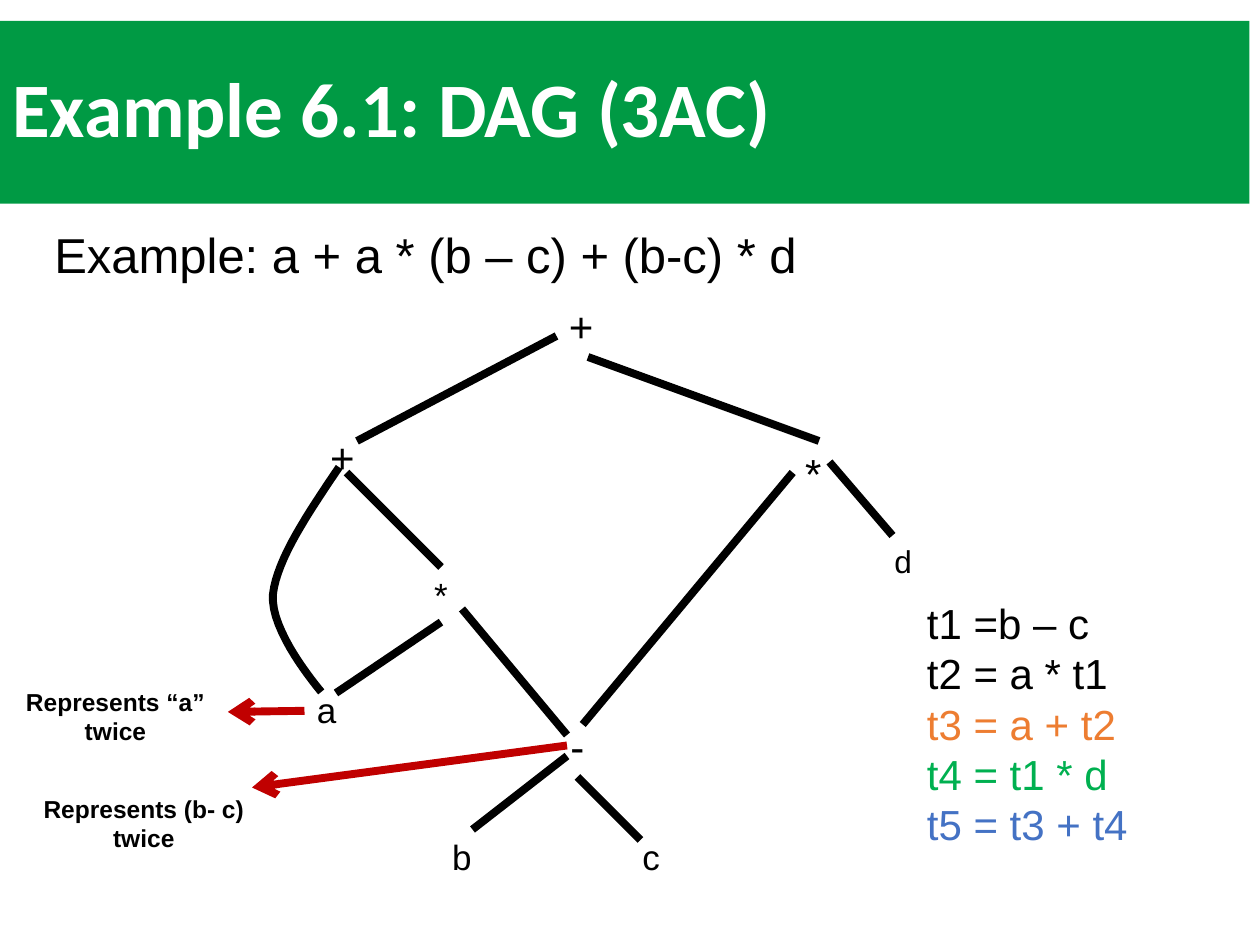
"""Build a slide showing the DAG and three-address code of an expression."""
from dataclasses import dataclass

from lxml import etree
from pptx import Presentation
from pptx import util as u
from pptx.dml.color import RGBColor
from pptx.enum import shapes, text
from pptx.oxml.ns import qn


@dataclass(frozen=True)
class Theme:
    """Colours, fonts, type sizes and the line weight."""
    ink: str = "000000"
    paper: str = "FFFFFF"
    banner: str = "009A44"
    pointer: str = "C00000"
    orange: str = "ED7D31"
    green: str = "00B050"
    blue: str = "4472C4"
    heading_font: str = "Calibri"
    body_font: str = "Arial"
    title: int = 44
    lead: int = 28
    large: int = 24
    medium: int = 20
    small: int = 18
    note: int = 14
    stroke: float = 4.5


@dataclass(frozen=True)
class Label:
    """A text box placed by column, row, columns wide and rows high."""
    words: str
    col: float
    row: float
    cols: float
    rows: float
    size: int
    centred: bool = False
    bold: bool = False


@dataclass(frozen=True)
class Edge:
    """A straight line between two grid points."""
    start: tuple[float, float]
    end: tuple[float, float]


T = Theme()
COLUMNS, ROWS = 120, 90
WIDTH, HEIGHT = u.Inches(10), u.Inches(7.5)

LABELS = [
    Label("Example: a + a * (b – c) + (b-c) * d", 4, 20.8, 78, 6.8, T.lead),
    Label("+", 53, 28, 6, 6, T.large),
    Label("+", 30.25, 40.5, 5.75, 6, T.large),
    Label("*", 75.5, 42, 6, 6, T.large),
    Label("*", 39, 54, 6, 5.25, T.medium, True),
    Label("-", 52, 68, 6, 6, T.large, True),
    Label("a", 29, 65, 5, 5.25, T.medium),
    Label("b", 41, 79, 6, 5.25, T.medium, True),
    Label("c", 60, 79, 6, 5.25, T.medium),
    Label("d", 84, 51, 4, 4.8, T.small),
    Label("Represents “a” twice", -1, 64.8, 24, 6.8, T.note, True, True),
    Label("Represents (b- c) twice", 1.2, 75, 25, 6.8, T.note, True, True),
]
EDGES = [
    Edge((53, 32), (34, 42)),
    Edge((56, 34), (78, 42)),
    Edge((33, 45), (42, 54)),
    Edge((42, 59.25), (32, 66)),
    Edge((44, 58), (54, 70)),
    Edge((75.5, 45), (55.5, 69)),
    Edge((79, 44), (85, 51)),
    Edge((54, 72), (45, 79)),
    Edge((55, 74), (61, 80)),
]
POINTERS = [Edge((29, 67.7), (21.7, 67.8)), Edge((54, 71), (24, 75))]
CURVE = [
    ((32.3, 44.5), (29.4, 48.8), (26.4, 53.2), (26, 56.6)),
    ((26, 56.6), (25.7, 60.1), (30.2, 65.4), (30.6, 65.9)),
]
CODE = [
    ("t1 =b – c", T.ink),
    ("t2 = a * t1", T.ink),
    ("t3 = a + t2", T.orange),
    ("t4 = t1 * d", T.green),
    ("t5 = t3 + t4", T.blue),
]


def x(col: float) -> int:
    """Turn columns into a length."""
    return round(col * WIDTH / COLUMNS)


def y(row: float) -> int:
    """Turn rows into a length."""
    return round(row * HEIGHT / ROWS)


def style(p, size: int, color: str = T.ink, font: str = T.body_font,
          bold: bool = False, align=text.PP_ALIGN.LEFT) -> None:
    """Set the font and alignment of a paragraph."""
    p.alignment = align
    p.font.name, p.font.size, p.font.bold = font, u.Pt(size), bold
    p.font.color.rgb = RGBColor.from_string(color)


def add_label(s, label: Label) -> None:
    """Draw a text box."""
    sp = s.shapes.add_textbox(x(label.col), y(label.row), x(label.cols), y(label.rows))
    tf = sp.text_frame
    tf.word_wrap = True
    tf.text = label.words
    align = text.PP_ALIGN.CENTER if label.centred else text.PP_ALIGN.LEFT
    style(tf.paragraphs[0], label.size, bold=label.bold, align=align)


def add_panel(s, col: float, row: float, cols: float, rows: float, fill: str):
    """Draw a filled rectangle and return its text frame."""
    sp = s.shapes.add_shape(shapes.MSO_SHAPE.RECTANGLE, x(col), y(row), x(cols), y(rows))
    sp.shadow.inherit = False
    sp.fill.solid()
    sp.fill.fore_color.rgb = RGBColor.from_string(fill)
    sp.line.fill.background()
    sp.text_frame.word_wrap = True
    return sp.text_frame


def set_stroke(sp, color: str) -> None:
    """Set the colour and weight of a line."""
    sp.line.color.rgb = RGBColor.from_string(color)
    sp.line.width = u.Pt(T.stroke)


def add_edge(s, edge: Edge, color: str = T.ink, arrow: bool = False) -> None:
    """Draw a straight connector, with an arrowhead at its end if asked."""
    sp = s.shapes.add_connector(shapes.MSO_CONNECTOR.STRAIGHT,
                                x(edge.start[0]), y(edge.start[1]),
                                x(edge.end[0]), y(edge.end[1]))
    set_stroke(sp, color)
    if arrow:
        etree.SubElement(sp.line._get_or_add_ln(), qn("a:tailEnd"), type="arrow")
    etree.SubElement(sp._element.spPr, qn("a:effectLst"))


def bezier(points: tuple, t: float) -> tuple[int, int]:
    """Return the point at share t of a cubic curve."""
    weights = ((1 - t) ** 3, 3 * t * (1 - t) ** 2, 3 * t ** 2 * (1 - t), t ** 3)
    col, row = (sum(w * p[i] for w, p in zip(weights, points)) for i in (0, 1))
    return x(col), y(row)


def add_curve(s, segments: list, steps: int = 16) -> None:
    """Draw an open curve through cubic segments."""
    start = bezier(segments[0], 0)
    builder = s.shapes.build_freeform(*start)
    builder.add_line_segments(
        [bezier(seg, i / steps) for seg in segments for i in range(1, steps + 1)],
        close=False)
    sp = builder.convert_to_shape()
    sp.shadow.inherit = False
    sp.fill.background()
    set_stroke(sp, T.ink)


def main() -> None:
    """Build and save the slide."""
    prs = Presentation()
    prs.slide_width, prs.slide_height = WIDTH, HEIGHT
    s = prs.slides.add_slide(prs.slide_layouts[6])

    tf = add_panel(s, 0, 2, 119, 17.4, T.banner)
    tf.vertical_anchor = text.MSO_ANCHOR.MIDDLE
    tf.text = "Example 6.1: DAG (3AC)"
    tf.paragraphs[0].line_spacing = 0.9
    style(tf.paragraphs[0], T.title, T.paper, T.heading_font, bold=True)

    tf = add_panel(s, 87.1, 56.3, 29, 25.4, T.paper)
    tf.vertical_anchor = text.MSO_ANCHOR.TOP
    tf.text = "\n".join(line for line, _ in CODE)
    for p, (_, color) in zip(tf.paragraphs, CODE):
        style(p, T.large, color)

    for label in LABELS:
        add_label(s, label)
    for edge in EDGES:
        add_edge(s, edge)
    add_curve(s, CURVE)
    for pointer in POINTERS:
        add_edge(s, pointer, T.pointer, arrow=True)
    prs.save("out.pptx")


if __name__ == "__main__":
    main()
